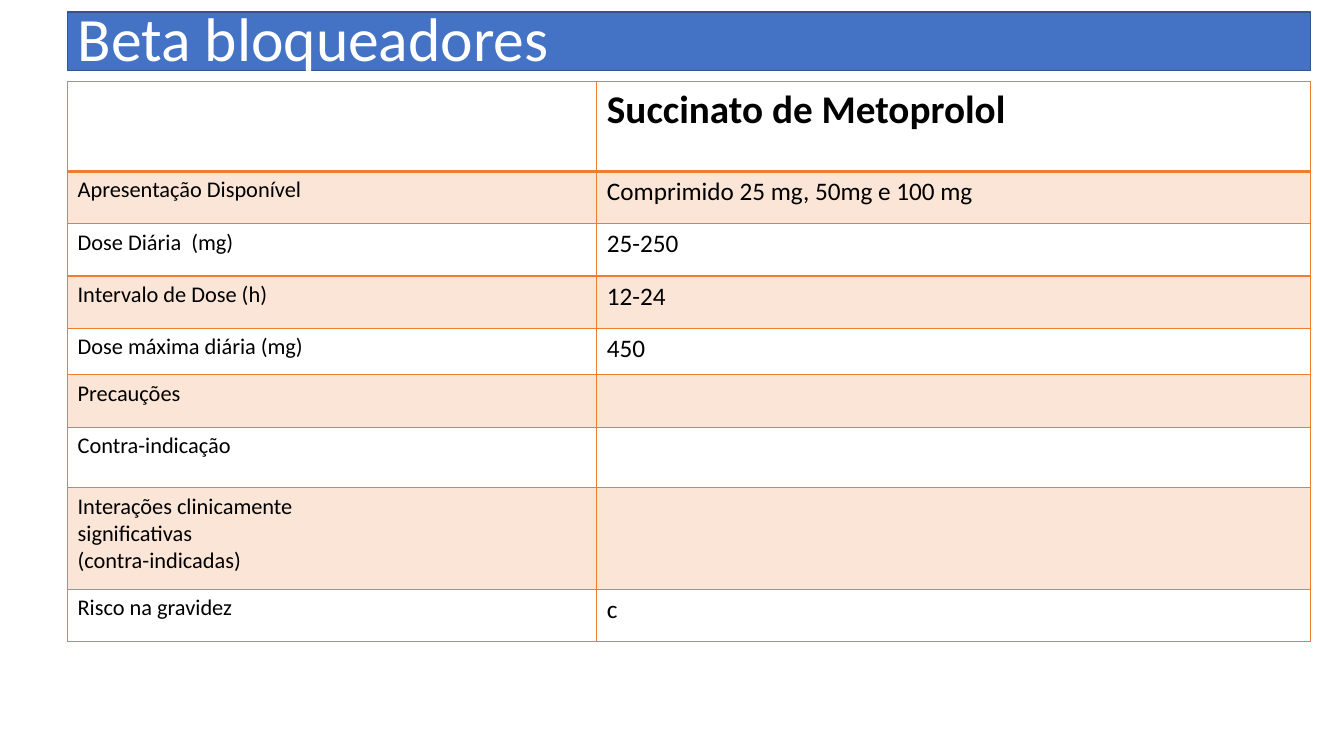
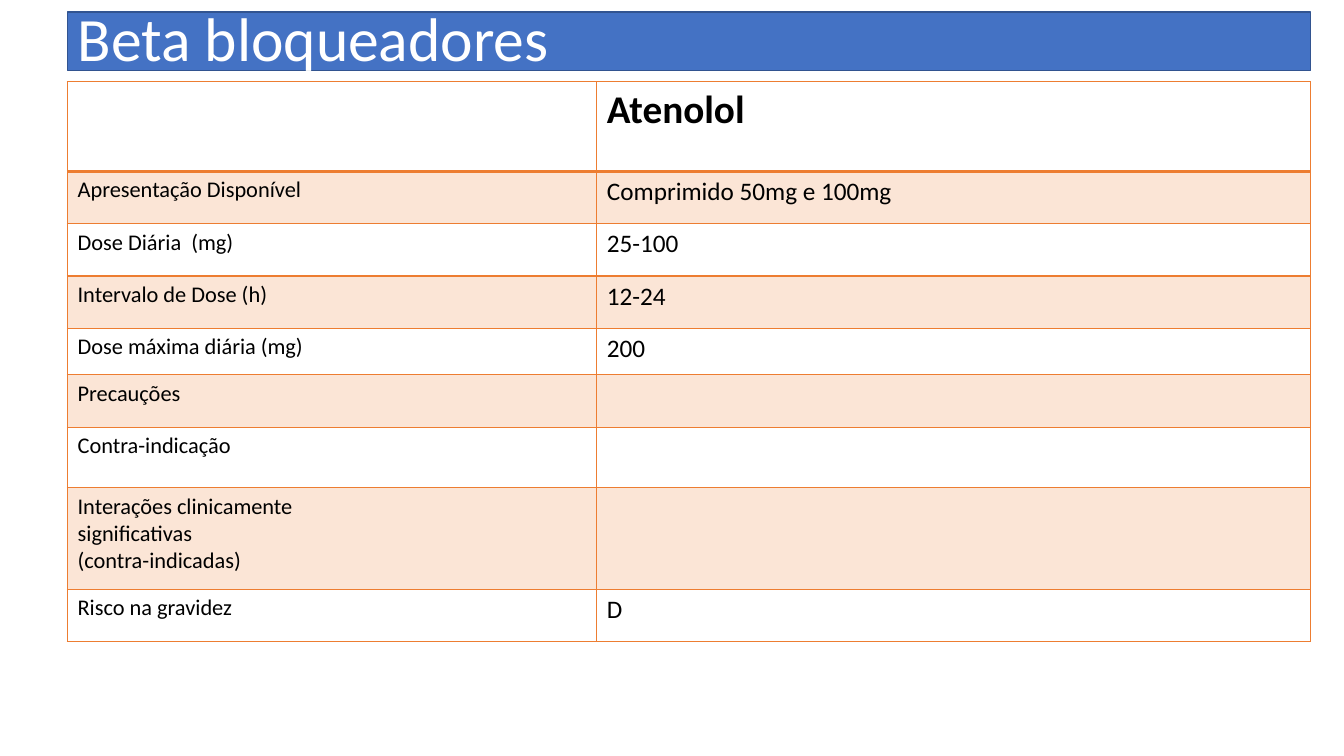
from lxml.etree import SubElement
from pptx import Presentation
from pptx.dml.color import RGBColor
from pptx.enum.text import MSO_ANCHOR, MSO_AUTO_SIZE, PP_ALIGN
from pptx.oxml.ns import qn
from pptx.util import Pt

PX = 9144
FONT = "Calibri"
COLORS = {
    "band": "4472C4",
    "band_line": "325490",
    "grid": "ED7D31",
    "stripe": "FBE5D6",
    "white": "FFFFFF",
    "black": "000000",
}
LEFT, WIDTH = 67, 1233
COLUMN_WIDTHS = (525, 708)
ROW_HEIGHTS = (89, 52, 52, 52, 46, 52, 60, 101, 52)
TOPICS = (
    "",
    "Apresentação Disponível",
    "Dose Diária  (mg)",
    "Intervalo de Dose (h)",
    "Dose máxima diária (mg)",
    "Precauções",
    "Contra-indicação",
    "Interações clinicamente\nsignificativas\n(contra-indicadas)",
    "Risco na gravidez",
)
DRUGS = (
    ("Succinato de Metoprolol", "Comprimido 25 mg, 50mg e 100 mg",
     "25-250", "12-24", "450", "", "", "", "c"),
    ("Atenolol", "Comprimido 50mg e 100mg",
     "25-100", "12-24", "200", "", "", "", "D"),
)


def rgb(name):
    return RGBColor.from_string(COLORS[name])


def write(frame, text, size=18, color="black", bold=False, spacing=1.0):
    frame.text = text
    for paragraph in frame.paragraphs:
        paragraph.alignment = PP_ALIGN.LEFT
        paragraph.line_spacing = spacing
        font = paragraph.font
        font.name, font.size, font.bold = FONT, Pt(size), bold
        font.color.rgb = rgb(color)


class DrugDeck:
    """Holds the deck style and the slide being filled."""

    def __init__(self):
        self.deck = Presentation()
        self.deck.slide_width = 1333 * PX
        self.deck.slide_height = 750 * PX
        self.slide = None

    def add_slide(self):
        self.slide = self.deck.slides.add_slide(self.deck.slide_layouts[5])

    def title_band(self, text):
        band = self.slide.shapes.title
        band.left, band.top = LEFT * PX, 12 * PX
        band.width, band.height = WIDTH * PX, 58 * PX
        band.fill.solid()
        band.fill.fore_color.rgb = rgb("band")
        band.line.color.rgb = rgb("band_line")
        band.line.width = Pt(1)
        frame = band.text_frame
        frame.auto_size = MSO_AUTO_SIZE.NONE
        frame.vertical_anchor = MSO_ANCHOR.MIDDLE
        write(frame, text, size=44, color="white", spacing=0.9)

    def cell_borders(self, cell, top, bottom):
        properties = cell._tc.get_or_add_tcPr()
        for side, width in (("L", 0.96), ("R", 0.96), ("T", top), ("B", bottom)):
            line = SubElement(properties, qn(f"a:ln{side}"), w=str(Pt(width)))
            fill = SubElement(line, qn("a:solidFill"))
            SubElement(fill, qn("a:srgbClr"), val=COLORS["grid"])

    def drug_table(self, answers):
        table = self.slide.shapes.add_table(
            len(TOPICS), len(COLUMN_WIDTHS), LEFT * PX, 81 * PX,
            WIDTH * PX, sum(ROW_HEIGHTS) * PX).table
        table.horz_banding = False
        for column, width in zip(table.columns, COLUMN_WIDTHS):
            column.width = width * PX
        for index, pair in enumerate(zip(TOPICS, answers)):
            row = table.rows[index]
            row.height = ROW_HEIGHTS[index] * PX
            header = index == 0
            sizes = (28, 28) if header else (16, 18)
            for cell, text, size in zip(row.cells, pair, sizes):
                write(cell.text_frame, text, size=size, bold=header)
                self.cell_borders(cell, top=1.98 if index == 1 else 0.96,
                                  bottom=1.98 if header else 0.96)
                cell.fill.solid()
                cell.fill.fore_color.rgb = rgb("stripe" if index % 2 else "white")


def main():
    drug_deck = DrugDeck()
    for answers in DRUGS:
        drug_deck.add_slide()
        drug_deck.title_band("Beta bloqueadores")
        drug_deck.drug_table(answers)
    drug_deck.deck.save("out.pptx")


if __name__ == "__main__":
    main()
